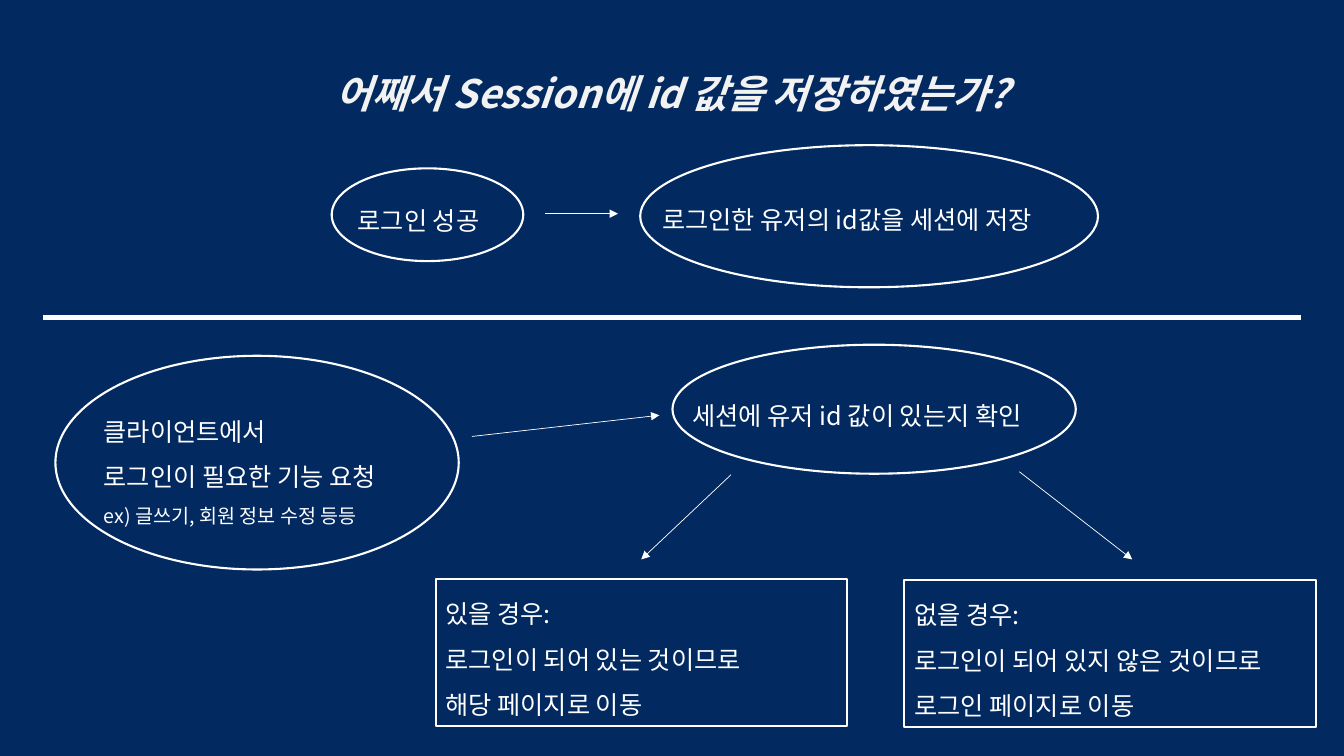
from lxml.etree import SubElement
from pptx import Presentation
from pptx.dml.color import RGBColor
from pptx.enum.shapes import MSO_CONNECTOR, MSO_SHAPE
from pptx.enum.text import PP_ALIGN
from pptx.oxml.ns import qn
from pptx.util import Inches, Pt

FONT = "Noto Sans CJK KR"
NAVY, WHITE, PALE = "022960", "FFFFFF", "F2F2F2"
OVAL, BOX = MSO_SHAPE.OVAL, MSO_SHAPE.RECTANGLE

TITLE = "어째서 Session에 id 값을 저장하였는가?"
TITLE_AREA = (2.61, 0.4, 8.11, 0.72)
STEPS = [
    (OVAL, (3.29, 1.67, 1.9, 0.92), (3.45, 1.84, 1.62, 0.5),
     [("로그인 성공", 18)]),
    (OVAL, (6.35, 1.44, 4.54, 1.41), (6.47, 1.83, 4.5, 0.95),
     [("로그인한 유저의 id값을 세션에 저장", 18)]),
    (OVAL, (0.55, 3.53, 4, 2.12), (0.93, 3.93, 3.26, 1.32),
     [("클라이언트에서", 18), ("로그인이 필요한 기능 요청", 18),
      ("ex) 글쓰기, 회원 정보 수정 등등", 14)]),
    (OVAL, (6.67, 3.42, 4, 1.28), (6.77, 3.77, 4.03, 0.5),
     [("세션에 유저 id 값이 있는지 확인", 18)]),
    (BOX, (4.32, 5.74, 4.08, 1.46), (4.32, 5.74, 4.2, 1.41),
     [("있을 경우:", 18), ("로그인이 되어 있는 것이므로", 18),
      ("해당 페이지로 이동", 18)]),
    (BOX, (8.97, 5.75, 4.08, 1.46), (8.97, 5.75, 4.2, 1.41),
     [("없을 경우:", 18),
      ("로그인이 되어 있지 않은 것이므로 로그인 페이지로 이동", 18)]),
]
ARROWS = [
    (5.41, 2.12, 6.13, 2.12),
    (4.68, 4.33, 6.54, 4.12),
    (7.25, 4.71, 6.36, 5.55),
    (10.11, 4.68, 11.23, 5.55),
]
DIVIDER = (0.43, 3.15, 12.9, 3.15)


def color(value):
    return RGBColor.from_string(value)


def inches(values):
    return [Inches(value) for value in values]


def add_text(slide, area, lines, text_color=WHITE, align=PP_ALIGN.LEFT, emphasis=None):
    text_frame = slide.shapes.add_textbox(*inches(area)).text_frame
    text_frame.word_wrap = True
    text_frame.text = "\n".join(text for text, size in lines)
    for paragraph, (text, size) in zip(text_frame.paragraphs, lines):
        paragraph.alignment = align
        paragraph.line_spacing = 1.5
        font = paragraph.runs[0].font
        font.name = FONT
        font.size = Pt(size)
        font.bold = font.italic = emphasis
        font.color.rgb = color(text_color)
        SubElement(paragraph.runs[0].font._element, qn("a:ea"), typeface=FONT)


def add_outline(slide, kind, area):
    shape = slide.shapes.add_shape(kind, *inches(area))
    shape.shadow.inherit = False
    shape.fill.background()
    shape.line.color.rgb = color(WHITE)
    shape.line.width = Pt(1.5)


def add_line(slide, ends, width, arrow=False):
    connector = slide.shapes.add_connector(MSO_CONNECTOR.STRAIGHT, *inches(ends))
    connector.line.color.rgb = color(WHITE)
    connector.line.width = Pt(width)
    if arrow:
        SubElement(connector.line._get_or_add_ln(), qn("a:tailEnd"), type="triangle")
    SubElement(connector._element.spPr, qn("a:effectLst"))


presentation = Presentation()
presentation.slide_width = Inches(13.33)
presentation.slide_height = Inches(7.5)
slide = presentation.slides.add_slide(presentation.slide_layouts[6])
slide.background.fill.solid()
slide.background.fill.fore_color.rgb = color(NAVY)

for ends in ARROWS:
    add_line(slide, ends, 0.5, arrow=True)
for kind, outline_area, text_area, lines in STEPS:
    add_text(slide, text_area, lines)
    add_outline(slide, kind, outline_area)
add_line(slide, DIVIDER, 3)
add_text(slide, TITLE_AREA, [(TITLE, 28)], PALE, PP_ALIGN.CENTER, emphasis=True)

presentation.save("out.pptx")
